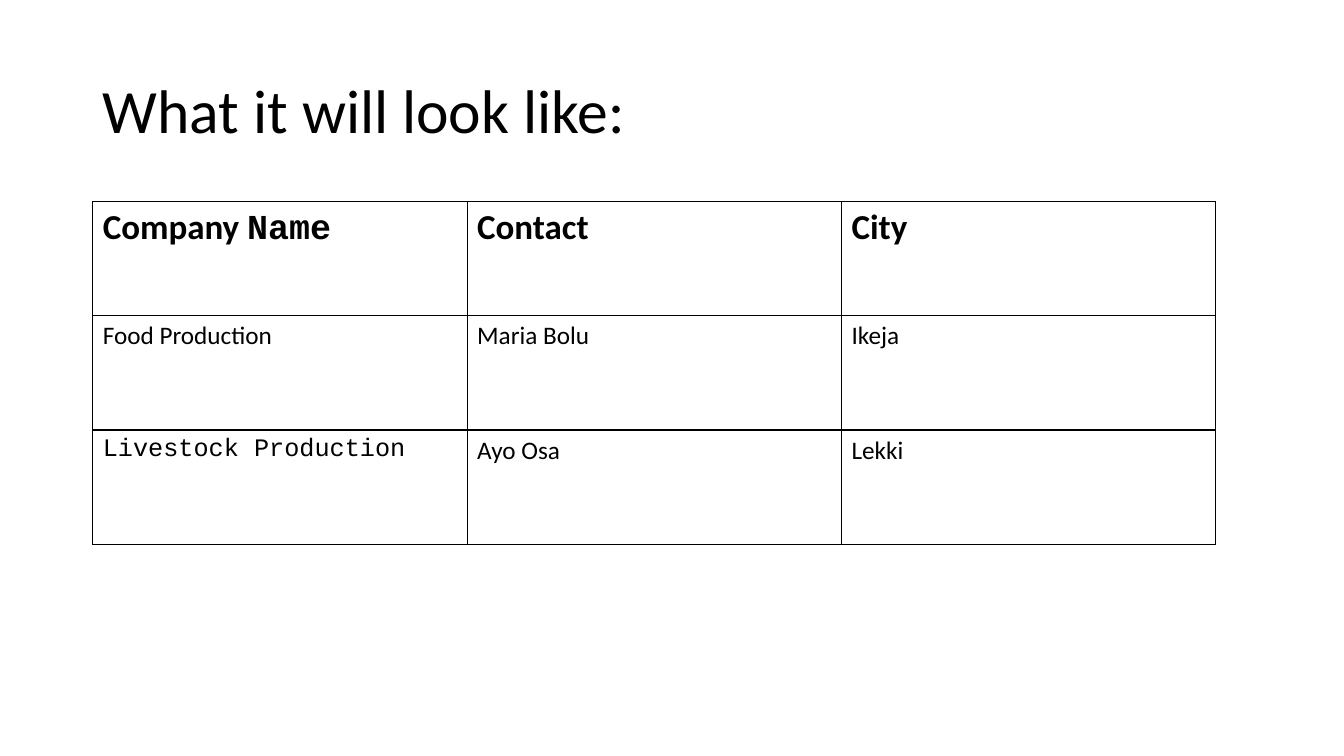
from lxml.etree import SubElement
from pptx import Presentation
from pptx.dml.color import RGBColor
from pptx.enum.text import MSO_ANCHOR, PP_ALIGN
from pptx.oxml.ns import qn
from pptx.util import Inches, Pt

COLORS = {"ink": "000000", "line": "000000"}
SANS, MONO = "Calibri", "Courier New"

# Each cell is a list of (text, font) runs
COMPANIES = [
    [[("Company ", SANS), ("Name", MONO)], [("Contact", SANS)], [("City", SANS)]],
    [[("Food Production", SANS)], [("Maria Bolu", SANS)], [("Ikeja", SANS)]],
    [[("Livestock Production", MONO)], [("Ayo Osa", SANS)], [("Lekki", SANS)]],
]


def style_run(run, font, size, bold=False):
    run.font.name = font
    run.font.size = Pt(size)
    run.font.bold = bold
    run.font.color.rgb = RGBColor.from_string(COLORS["ink"])


def add_borders(cell, width=1):
    properties = cell._tc.get_or_add_tcPr()
    for index, side in enumerate(("a:lnL", "a:lnR", "a:lnT", "a:lnB")):
        line = properties.makeelement(qn(side), {"w": str(Pt(width))})
        fill = SubElement(line, qn("a:solidFill"))
        SubElement(fill, qn("a:srgbClr"), val=COLORS["line"])
        # Borders must come before the cell fill
        properties.insert(index, line)


def place_title(slide, left, top, width, height):
    title = slide.shapes.title
    title.left, title.top = Inches(left), Inches(top)
    title.width, title.height = Inches(width), Inches(height)
    frame = title.text_frame
    frame.text = "What it will look like:"
    frame.word_wrap = True
    frame.vertical_anchor = MSO_ANCHOR.MIDDLE
    heading = frame.paragraphs[0]
    heading.alignment = PP_ALIGN.LEFT
    heading.line_spacing = 0.9
    style_run(heading.runs[0], SANS, 44)


def place_company_table(slide, left, top, width, height):
    companies = slide.shapes.add_table(
        len(COMPANIES), len(COMPANIES[0]),
        Inches(left), Inches(top), Inches(width), Inches(height)).table
    companies.horz_banding = False
    for row, entries in enumerate(COMPANIES):
        is_header = row == 0
        for column, entry in enumerate(entries):
            cell = companies.cell(row, column)
            cell.fill.background()
            add_borders(cell)
            paragraph = cell.text_frame.paragraphs[0]
            for text, font in entry:
                run = paragraph.add_run()
                run.text = text
                style_run(run, font, 25 if is_header else 18, is_header)


def main():
    deck = Presentation()
    deck.slide_width, deck.slide_height = Inches(13.33), Inches(7.5)
    slide = deck.slides.add_slide(deck.slide_layouts[5])  # Title only
    place_title(slide, 0.92, 0.4, 11.5, 1.45)
    place_company_table(slide, 0.92, 2, 11.14, 3.4)
    deck.save("out.pptx")


if __name__ == "__main__":
    main()
